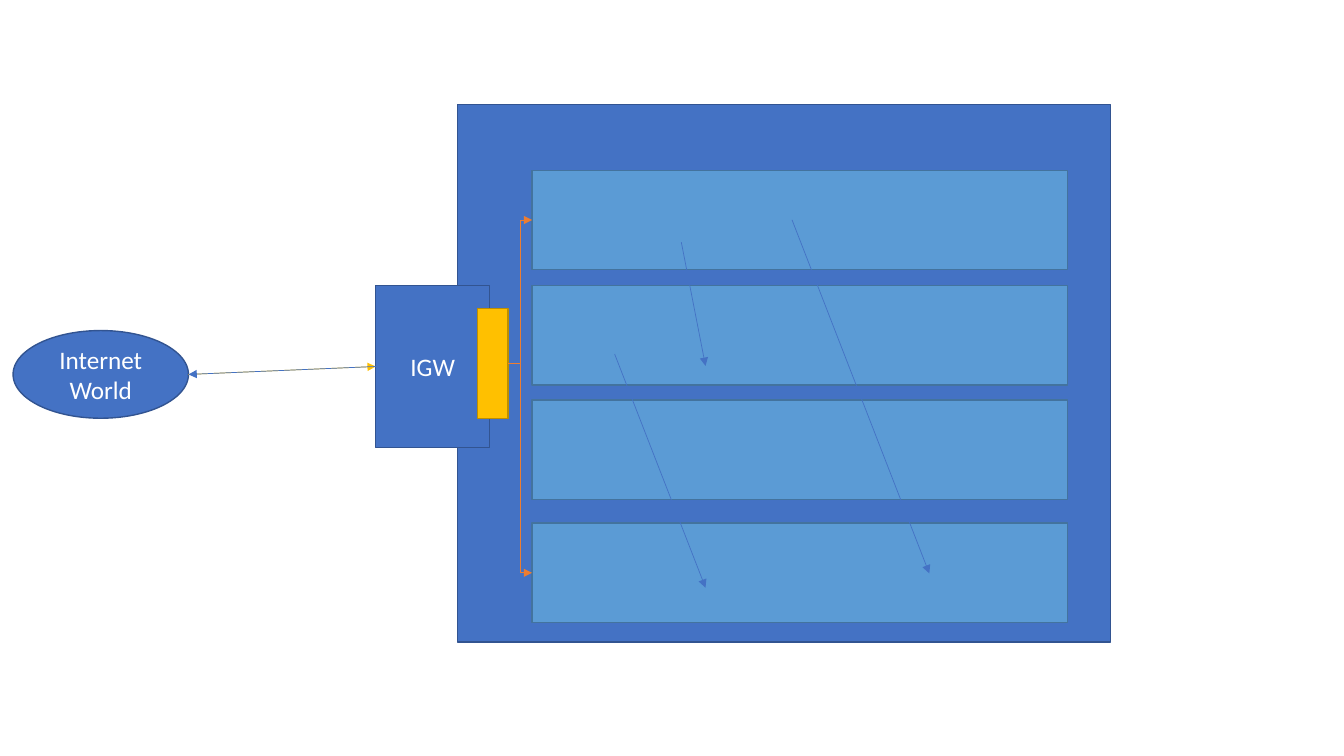
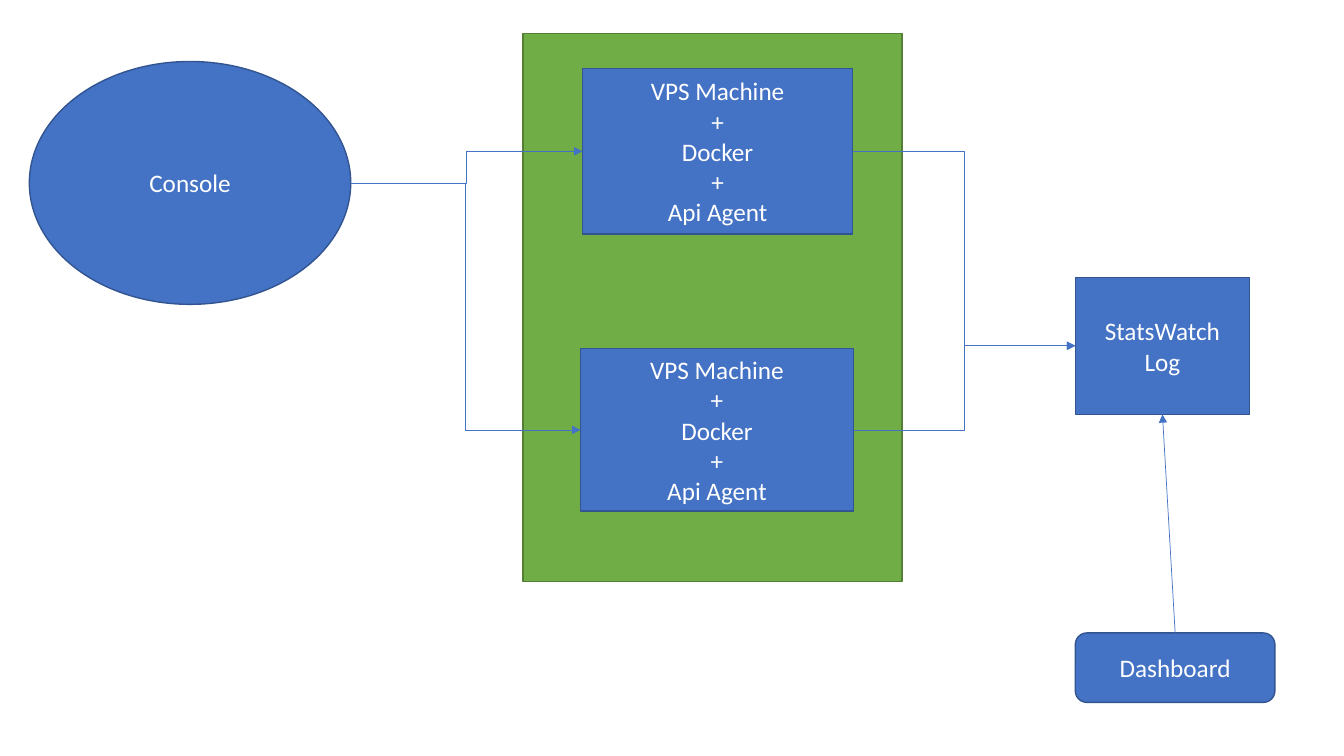
from dataclasses import dataclass

from lxml.etree import SubElement
from pptx import Presentation
from pptx.dml.color import RGBColor as Rgb
from pptx.enum.shapes import MSO_CONNECTOR as Link, MSO_SHAPE as Form
from pptx.enum.text import MSO_ANCHOR as Anchor, PP_ALIGN as Align
from pptx.oxml.ns import qn
from pptx.util import Cm, Pt


@dataclass(frozen=True)
class Theme:
    blue: tuple = ("4472C4", "325491")
    sky: tuple = ("5B9BD5", "43739E")
    gold: tuple = ("FFC000", "BD8E00")
    green: tuple = ("70AD47", "538035")
    orange: str = "ED7D31"
    text: str = "FFFFFF"
    font: str = "Calibri"
    size: int = 18
    outline: float = 1
    arrow: float = 0.5


@dataclass(frozen=True)
class Box:
    left: float
    top: float
    width: float
    height: float

    def inside(self, dx, dy, width, height):
        return Box(self.left + dx, self.top + dy, width, height)

    def lengths(self):
        return [Cm(n) for n in (self.left, self.top, self.width, self.height)]


THEME = Theme()
TOP, LEFT, BOTTOM, RIGHT = range(4)
MACHINE_LINES = ("VPS Machine", "+", "Docker", "+", "Api Agent")


def add_node(slide, box, lines=(), paint=THEME.blue, form=Form.RECTANGLE):
    node = slide.shapes.add_shape(form, *box.lengths())
    node.shadow.inherit = False
    fill, outline = paint
    node.fill.solid()
    node.fill.fore_color.rgb = Rgb.from_string(fill)
    node.line.color.rgb = Rgb.from_string(outline)
    node.line.width = Pt(THEME.outline)
    frame = node.text_frame
    frame.word_wrap = True
    frame.vertical_anchor = Anchor.MIDDLE
    for index, line in enumerate(lines):
        paragraph = frame.add_paragraph() if index else frame.paragraphs[0]
        paragraph.alignment = Align.CENTER
        run = paragraph.add_run()
        run.text = line
        run.font.name = THEME.font
        run.font.size = Pt(THEME.size)
        run.font.color.rgb = Rgb.from_string(THEME.text)
    return node


def add_arrow(slide, start, end, color=THEME.blue[0], route=Link.STRAIGHT):
    arrow = slide.shapes.add_connector(route, *(Cm(n) for n in start + end))
    arrow.line.color.rgb = Rgb.from_string(color)
    arrow.line.width = Pt(THEME.arrow)
    SubElement(arrow.line._get_or_add_ln(), qn("a:tailEnd"), type="triangle")
    SubElement(arrow._element.spPr, qn("a:effectLst"))
    return arrow


def join(slide, source, source_side, target, target_side, **look):
    arrow = add_arrow(slide, (0, 0), (0, 0), **look)
    arrow.begin_connect(source, source_side)
    arrow.end_connect(target, target_side)
    for node, side, tag in ((source, source_side, "a:stCxn"),
                            (target, target_side, "a:endCxn")):
        if node.auto_shape_type == Form.OVAL:
            for glue in arrow._element.iter(qn(tag)):
                glue.set("idx", str(2 * side))


def add_network(slide, box):
    add_node(slide, box)
    subnets = [
        add_node(slide, box.inside(1.88, dy, 13.49, 2.51), paint=THEME.sky)
        for dy in (1.65, 4.55, 7.44, 10.54)
    ]
    gateway = add_node(slide, box.inside(-2.06, 4.55, 2.87, 4.09), ["IGW"])
    router = add_node(slide, box.inside(0.51, 5.13, 0.76, 2.77), paint=THEME.gold)
    for subnet in (subnets[0], subnets[-1]):
        join(slide, router, RIGHT, subnet, LEFT,
             color=THEME.orange, route=Link.ELBOW)
    for x1, y1, x2, y2 in (
        (5.64, 3.46, 6.25, 6.58),
        (8.43, 2.9, 11.89, 11.81),
        (3.96, 6.28, 6.25, 12.17),
    ):
        add_arrow(slide, (box.left + x1, box.top + y1),
                  (box.left + x2, box.top + y2))
    return gateway


def add_machines(slide, box):
    add_node(slide, box, paint=THEME.green)
    return [
        add_node(slide, box.inside(*place), MACHINE_LINES)
        for place in ((1.5, 0.89, 6.81, 4.17), (1.45, 7.95, 6.88, 4.09))
    ]


def add_monitoring(slide, box):
    log = add_node(slide, box.inside(0, 0, 4.39, 3.45), ["StatsWatch", "Log"])
    dashboard = add_node(
        slide, box.inside(0, box.height - 1.75, box.width, 1.75),
        ["Dashboard"], form=Form.ROUNDED_RECTANGLE)
    join(slide, dashboard, TOP, log, BOTTOM)
    return log


def build_network_slide(slide):
    gateway = add_network(slide, Box(11.53, 2.64, 16.46, 13.54))
    internet = add_node(slide, Box(0.33, 8.33, 4.42, 2.21),
                        ["Internet", "World"], form=Form.OVAL)
    join(slide, internet, RIGHT, gateway, LEFT, color=THEME.gold[0])
    join(slide, gateway, LEFT, internet, RIGHT)


def build_logging_slide(slide):
    machines = add_machines(slide, Box(13.18, 0.84, 9.55, 13.82))
    console = add_node(slide, Box(0.74, 1.55, 8.1, 6.12),
                       ["Console"], form=Form.OVAL)
    log = add_monitoring(slide, Box(27.1, 6.99, 5.03, 10.71))
    for machine in machines:
        join(slide, console, RIGHT, machine, LEFT, route=Link.ELBOW)
        join(slide, machine, RIGHT, log, LEFT, route=Link.ELBOW)


def main():
    deck = Presentation()
    deck.slide_width, deck.slide_height = Cm(33.87), Cm(19.05)
    for build in (build_network_slide, build_logging_slide):
        build(deck.slides.add_slide(deck.slide_layouts[6]))
    deck.save("out.pptx")


if __name__ == "__main__":
    main()
